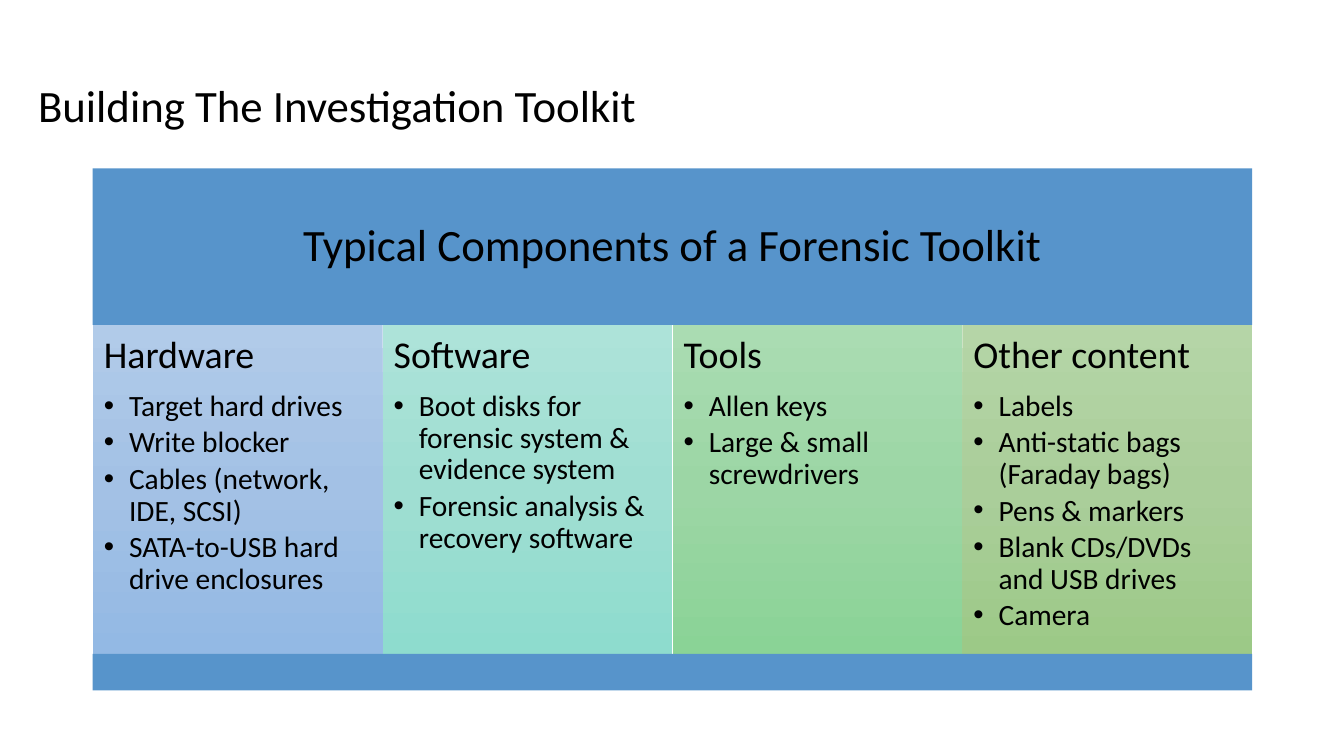
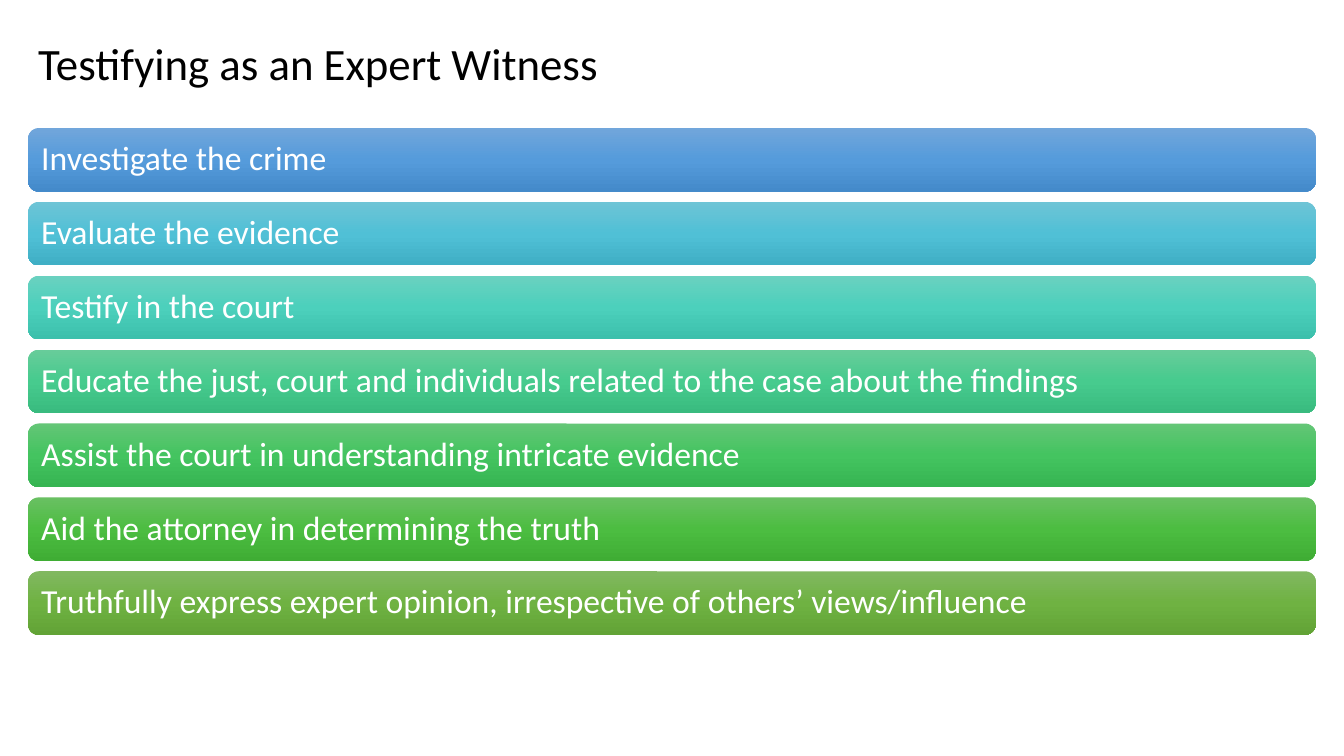
from dataclasses import dataclass
from typing import Optional

from lxml.etree import SubElement
from pptx import Presentation
from pptx.dml.color import RGBColor
from pptx.enum.shapes import MSO_SHAPE
from pptx.enum.text import MSO_ANCHOR, PP_ALIGN
from pptx.oxml.ns import qn
from pptx.shapes.autoshape import Shape
from pptx.slide import Slide
from pptx.text.text import TextFrame, _Paragraph
from pptx.util import Inches, Pt

SLIDE_WIDTH, SLIDE_HEIGHT = 13.33, 7.5
FONT = "Calibri"
BLACK, WHITE, BAND_BLUE = "000000", "FFFFFF", "5794CB"
TITLE_SIZE, HEADING_SIZE, BULLET_SIZE, BAR_SIZE = 32, 27, 21, 24
LINE_SPACING = 0.9
BULLET_INDENT = 0.25


@dataclass(frozen=True)
class Box:
    left: float
    top: float
    width: float
    height: float

    def share(self, left: float, top: float, width: float, height: float) -> "Box":
        return Box(
            self.left + left * self.width,
            self.top + top * self.height,
            width * self.width,
            height * self.height,
        )

    def lengths(self) -> tuple[int, ...]:
        return tuple(Inches(n) for n in (self.left, self.top, self.width, self.height))


@dataclass(frozen=True)
class ToolkitColumn:
    heading: str
    items: tuple[str, ...]
    gradient: tuple[str, str, str]


@dataclass(frozen=True)
class WitnessDuty:
    text: str
    gradient: tuple[str, str, str]


CONTENT_LEFT, CONTENT_WIDTH = 0.28, 12.77
TITLE_HEIGHT = SLIDE_HEIGHT / 6
PANEL = Box(0.92, 1.67, 11.5, 5.18)
HEADER_SHARE, COLUMN_SHARE, FOOTER_SHARE = 0.3, 0.63, 0.07
DUTIES = Box(CONTENT_LEFT, 1.27, CONTENT_WIDTH, 5.13)
BAR_SHARE = 0.86

TOOLKIT_COLUMNS = (
    ToolkitColumn(
        "Hardware",
        (
            "Target hard drives",
            "Write blocker",
            "Cables (network, IDE, SCSI)",
            "SATA-to-USB hard drive enclosures",
        ),
        ("B1CBE9", "A3C1E5", "93B9E4"),
    ),
    ToolkitColumn(
        "Software",
        (
            "Boot disks for forensic system & evidence system",
            "Forensic analysis & recovery software",
        ),
        ("ADE3D9", "9FDED2", "8EDCCE"),
    ),
    ToolkitColumn(
        "Tools",
        ("Allen keys", "Large & small screwdrivers"),
        ("AADCB2", "9CD6A5", "8AD396"),
    ),
    ToolkitColumn(
        "Other content",
        (
            "Labels",
            "Anti-static bags (Faraday bags)",
            "Pens & markers",
            "Blank CDs/DVDs and USB drives",
            "Camera",
        ),
        ("B5D5A7", "AACE9A", "9CC987"),
    ),
)

WITNESS_DUTIES = (
    WitnessDuty("Investigate the crime", ("71A6DB", "559BDB", "448ACA")),
    WitnessDuty("Evaluate the evidence", ("6EC4D6", "50C0D6", "40AFC5")),
    WitnessDuty("Testify in the court", ("6AD1C0", "4CD0BC", "3CC0AC")),
    WitnessDuty(
        "Educate the just, court and individuals related to the case about the findings",
        ("67CC9A", "47CB8E", "39BB7F"),
    ),
    WitnessDuty(
        "Assist the court in understanding intricate evidence",
        ("64C677", "44C460", "36B552"),
    ),
    WitnessDuty(
        "Aid the attorney in determining the truth",
        ("69C062", "4CBD41", "3FAD34"),
    ),
    WitnessDuty(
        "Truthfully express expert opinion, irrespective of others’ views/influence",
        ("81B861", "6FB242", "62A336"),
    ),
)


def color(value: str) -> RGBColor:
    return RGBColor.from_string(value)


def fill_gradient(shape: Shape, colors: tuple[str, ...]) -> None:
    shape.fill.gradient()
    shape.fill.gradient_angle = 270
    stops = next(shape._element.spPr.iter(qn("a:gsLst")))
    for stop in list(stops):
        stops.remove(stop)
    for index, value in enumerate(colors):
        position = str(100000 * index // (len(colors) - 1))
        stop = SubElement(stops, qn("a:gs"), pos=position)
        SubElement(stop, qn("a:srgbClr"), val=value)


def add_block(
    slide: Slide,
    box: Box,
    colors: tuple[str, ...],
    kind: MSO_SHAPE = MSO_SHAPE.RECTANGLE,
) -> Shape:
    shape = slide.shapes.add_shape(kind, *box.lengths())
    shape.shadow.inherit = False
    shape.line.fill.background()
    if len(colors) > 1:
        fill_gradient(shape, colors)
    else:
        shape.fill.solid()
        shape.fill.fore_color.rgb = color(colors[0])
    return shape


def prepare_frame(
    frame: TextFrame, inset: float, anchor: MSO_ANCHOR = MSO_ANCHOR.MIDDLE
) -> None:
    frame.word_wrap = True
    frame.vertical_anchor = anchor
    frame.margin_left = frame.margin_right = Inches(inset)
    frame.margin_top = frame.margin_bottom = Inches(inset)


def write(
    paragraph: _Paragraph,
    text: str,
    size: int,
    text_color: str = BLACK,
    alignment: PP_ALIGN = PP_ALIGN.LEFT,
    line_spacing: Optional[float] = LINE_SPACING,
    space_after: float = 0,
) -> None:
    paragraph.alignment = alignment
    paragraph.line_spacing = line_spacing
    paragraph.space_after = Pt(space_after)
    run = paragraph.add_run()
    run.text = text
    run.font.name = FONT
    run.font.size = Pt(size)
    run.font.color.rgb = color(text_color)


def add_bullet(paragraph: _Paragraph) -> None:
    properties = paragraph._p.get_or_add_pPr()
    properties.set("marL", str(Inches(BULLET_INDENT)))
    properties.set("indent", str(-Inches(BULLET_INDENT)))
    SubElement(properties, qn("a:buFont"), typeface="Arial")
    SubElement(properties, qn("a:buChar"), char="•")


def add_title(slide: Slide, text: str, top: float) -> None:
    box = Box(CONTENT_LEFT, top, CONTENT_WIDTH, TITLE_HEIGHT)
    frame = slide.shapes.add_textbox(*box.lengths()).text_frame
    prepare_frame(frame, 0.1)
    write(frame.paragraphs[0], text, TITLE_SIZE, line_spacing=None)


def add_toolkit_column(slide: Slide, column: ToolkitColumn, box: Box) -> None:
    frame = add_block(slide, box, column.gradient).text_frame
    prepare_frame(frame, 0.11, MSO_ANCHOR.TOP)
    write(frame.paragraphs[0], column.heading, HEADING_SIZE, space_after=10)
    for item in column.items:
        paragraph = frame.add_paragraph()
        add_bullet(paragraph)
        write(paragraph, item, BULLET_SIZE, space_after=3.4)


def build_toolkit(slide: Slide) -> None:
    add_title(slide, "Building The Investigation Toolkit", TITLE_HEIGHT / 3)
    header = add_block(slide, PANEL.share(0, 0, 1, HEADER_SHARE), (BAND_BLUE,))
    prepare_frame(header.text_frame, 0.13)
    write(
        header.text_frame.paragraphs[0],
        "Typical Components of a Forensic Toolkit",
        TITLE_SIZE,
        alignment=PP_ALIGN.CENTER,
    )
    width = 1 / len(TOOLKIT_COLUMNS)
    for index, column in enumerate(TOOLKIT_COLUMNS):
        box = PANEL.share(index * width, HEADER_SHARE, width, COLUMN_SHARE)
        add_toolkit_column(slide, column, box)
    add_block(slide, PANEL.share(0, 1 - FOOTER_SHARE, 1, FOOTER_SHARE), (BAND_BLUE,))


def build_witness(slide: Slide) -> None:
    add_title(slide, "Testifying as an Expert Witness", 0)
    row = 1 / len(WITNESS_DUTIES)
    for index, duty in enumerate(WITNESS_DUTIES):
        box = DUTIES.share(0, index * row, 1, row * BAR_SHARE)
        bar = add_block(slide, box, duty.gradient, MSO_SHAPE.ROUNDED_RECTANGLE)
        prepare_frame(bar.text_frame, 0.1)
        write(bar.text_frame.paragraphs[0], duty.text, BAR_SIZE, WHITE)


def main() -> None:
    presentation = Presentation()
    presentation.slide_width = Inches(SLIDE_WIDTH)
    presentation.slide_height = Inches(SLIDE_HEIGHT)
    blank = presentation.slide_layouts[6]
    for build in (build_toolkit, build_witness):
        build(presentation.slides.add_slide(blank))
    presentation.save("out.pptx")


if __name__ == "__main__":
    main()
